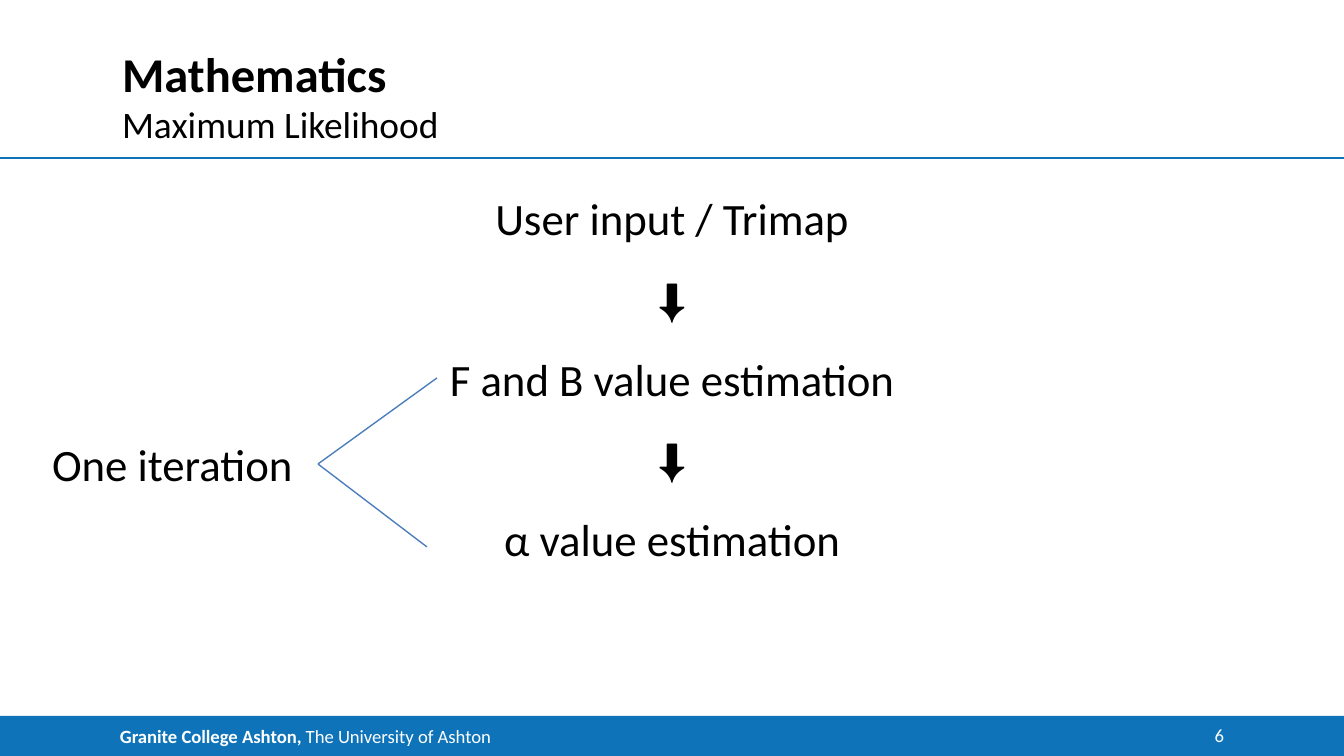
from pptx import Presentation
from pptx.dml.color import RGBColor
from pptx.enum.shapes import MSO_CONNECTOR, MSO_SHAPE
from pptx.enum.text import MSO_ANCHOR, PP_ALIGN
from pptx.util import Pt
from lxml import etree

LEFT, CENTER, RIGHT = PP_ALIGN.LEFT, PP_ALIGN.CENTER, PP_ALIGN.RIGHT
TOP, MIDDLE, BOTTOM = MSO_ANCHOR.TOP, MSO_ANCHOR.MIDDLE, MSO_ANCHOR.BOTTOM
STRAIGHT = MSO_CONNECTOR.STRAIGHT
RIGHT_SIDE = 3
DRAWING = "http://schemas.openxmlformats.org/drawingml/2006/main"

PX = 914400 / 134.4
WIDTH, HEIGHT = 1344, 756
MARGIN = 122
CONTENT_WIDTH = WIDTH - 2 * MARGIN
BLUE, BRACE_BLUE, BLACK, WHITE = "0E73B9", "4B7EBC", "000000", "FFFFFF"


def color(value):
    return RGBColor.from_string(value)


def write(shape, paragraphs, size=24, fill=BLACK, align=LEFT, anchor=TOP,
          before=0, insets=(0, 0, 0, 0)):
    """Fill a shape with paragraphs, each a list of (text, bold) runs."""
    frame = shape.text_frame
    frame.word_wrap = True
    frame.vertical_anchor = anchor
    (frame.margin_left, frame.margin_top,
     frame.margin_right, frame.margin_bottom) = [round(i * PX) for i in insets]
    for index, runs in enumerate(paragraphs):
        paragraph = frame.add_paragraph() if index else frame.paragraphs[0]
        paragraph.alignment = align
        paragraph.space_before = Pt(before)
        for text, bold in runs:
            run = paragraph.add_run()
            run.text = text
            run.font.name = "Calibri"
            run.font.size = Pt(size)
            run.font.bold = bold
            run.font.color.rgb = color(fill)


presentation = Presentation()
presentation.slide_width = round(WIDTH * PX)
presentation.slide_height = round(HEIGHT * PX)
slide = presentation.slides.add_slide(presentation.slide_layouts[6])
shapes = slide.shapes

# Footer bar
footer = shapes.add_shape(MSO_SHAPE.RECTANGLE,
                          *[round(v * PX) for v in (0, 716, WIDTH, 40)])
footer.shadow.inherit = False
footer.fill.solid()
footer.fill.fore_color.rgb = color(BLUE)
footer.line.fill.background()
write(footer, [[("Granite College Ashton, ", True), ("The University of Ashton", False)]],
      size=10, fill=WHITE, anchor=MIDDLE, insets=(120, 6, 12, 6))

# Text boxes
steps = ["User input / Trimap", "⬇️", "F and B value estimation", "⬇️",
         "α value estimation"]
texts = [
    ((MARGIN, 40, CONTENT_WIDTH, 62), [[("Mathematics", True)]],
     dict(size=26, anchor=BOTTOM)),
    ((MARGIN, 101, CONTENT_WIDTH, 31), [[("Maximum Likelihood", False)]],
     dict(size=20, before=14.2)),
    ((MARGIN, 191, CONTENT_WIDTH, 445), [[(step, False)] for step in steps],
     dict(align=CENTER, before=14.2)),
    ((1181, 718, 43, 28), [[("6", False)]],
     dict(size=10, fill=WHITE, align=RIGHT, anchor=BOTTOM)),
    ((39, 430, 279, 68), [[("One iteration", False)]],
     dict(insets=(13, 7, 13, 7))),
]
for box, paragraphs, text_format in texts:
    text_box = shapes.add_textbox(*[round(v * PX) for v in box])
    write(text_box, paragraphs, **text_format)
iteration_label = text_box

# Header rule, then the two lines that bracket one iteration
lines = [
    ((0, 158, WIDTH, 158), BLUE, None),
    ((318, 464, 437, 378), BRACE_BLUE, iteration_label),
    ((318, 464, 427, 547), BRACE_BLUE, iteration_label),
]
for ends, line_color, source in lines:
    connector = shapes.add_connector(STRAIGHT, *[round(v * PX) for v in ends])
    connector.line.color.rgb = color(line_color)
    connector.line.width = Pt(0.75)
    etree.SubElement(connector._element.spPr, f"{{{DRAWING}}}effectLst")
    if source is not None:
        connector.begin_connect(source, RIGHT_SIDE)

presentation.save("out.pptx")
